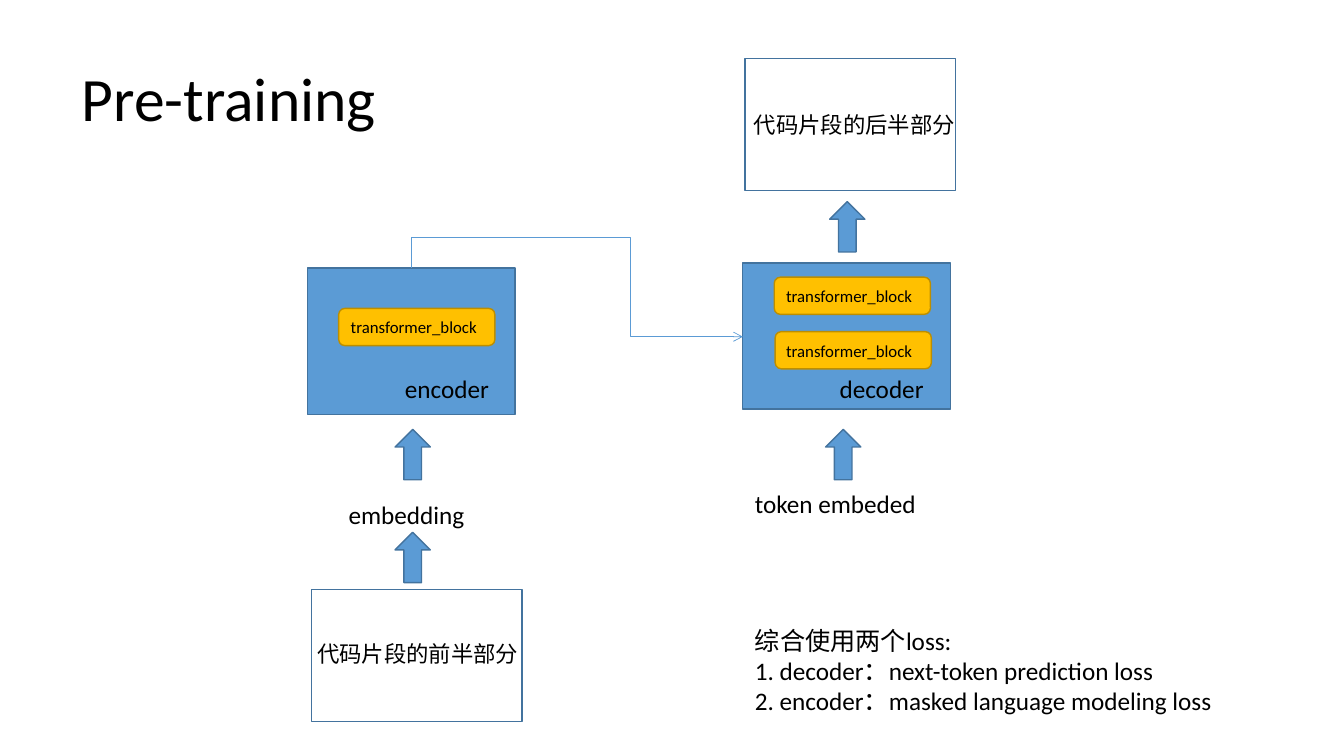
from lxml.etree import SubElement
from pptx import Presentation
from pptx.dml.color import RGBColor
from pptx.enum.shapes import MSO_CONNECTOR as CONN, MSO_SHAPE as SHAPE
from pptx.enum.text import MSO_ANCHOR as ANCHOR, MSO_AUTO_SIZE as AUTO, PP_ALIGN as ALIGN
from pptx.oxml.ns import qn
from pptx.util import Pt

COLORS = {"blue": "5B9BD5", "blue_edge": "43739E", "gold": "FFC000",
          "gold_edge": "BD8E00", "text": "000000"}
FONT = "Calibri"

TITLE = ("Pre-training", 51.1, 20.2, 828, 104.4)

STACKS = [(219.6, 191.5), (530.6, 187.9)]
STACK_SIZE = (148.3, 104.4)
SNIPPETS = [(222.5, 421.2), (532.1, 41.8)]
SNIPPET_SIZE = (150.5, 94.3)
ARROWS = [(282.2, 306.7), (282.2, 380.2), (589.7, 306.7), (592.6, 144)]
ARROW_SIZE = (25.2, 36)
BLOCKS = [(241.9, 220.3), (553.7, 236.9), (553, 198)]
BLOCK_SIZE = (111.6, 26.6)
BLOCK_LABELS = [(243.4, 222.5), (554.4, 239.8), (554.4, 200.2)]

LABELS = [
    (["encoder"], 282.2, 262.8, 80.6, 29, 18),
    (["decoder"], 592.6, 262.8, 80.6, 29, 18),
    (["token embeded"], 532.1, 344.9, 140.4, 29, 18),
    (["embedding"], 241.9, 352.8, 105.1, 29, 18),
    (["代码片段的前半部分"], 219.6, 453.6, 158.4, 26.6, 16),
    (["代码片段的后半部分"], 531.4, 75.6, 158.4, 26.6, 16),
    (["综合使用两个loss:",
      "1. decoder：next-token prediction loss",
      "2. encoder：masked language modeling loss"], 532.1, 442.8, 377.3, 72.7, 18),
] + [(["transformer_block"], x, y, 111.6, 21.6, 12) for x, y in BLOCK_LABELS]

LINK_START, LINK_END = (294.1, 191.5), (530.6, 240.5)
LINK_TOP, LINK_BEND = 169.2, 450


def color(name):
    return RGBColor.from_string(COLORS[name])


def add_run(p, text, size):
    r = p.add_run()
    r.text = text
    r.font.name, r.font.size = FONT, Pt(size)
    r.font.color.rgb = color("text")


def add_box(s, kind, pos, size, fill, edge):
    sp = s.shapes.add_shape(kind, *map(Pt, pos + size))
    sp.shadow.inherit = False
    if fill:
        sp.fill.solid()
        sp.fill.fore_color.rgb = color(fill)
    else:
        sp.fill.background()
    sp.line.color.rgb = color(edge)
    sp.line.width = Pt(1)


def add_label(s, lines, x, y, w, h, size):
    tf = s.shapes.add_textbox(Pt(x), Pt(y), Pt(w), Pt(h)).text_frame
    tf.word_wrap = False
    tf.auto_size = AUTO.SHAPE_TO_FIT_TEXT
    for i, line in enumerate(lines):
        p = tf.add_paragraph() if i else tf.paragraphs[0]
        add_run(p, line, size)


def add_link(s):
    (x1, y1), (x2, y2) = LINK_START, LINK_END
    across, down = x2 - x1, y2 - y1
    cx, cy = (x1 + x2) / 2, (y1 + y2) / 2
    c = s.shapes.add_connector(CONN.ELBOW, Pt(x1), Pt(y1), Pt(x2), Pt(y2))
    c.left, c.top = Pt(cx - down / 2), Pt(cy - across / 2)
    c.width, c.height = Pt(down), Pt(across)
    c.line.color.rgb = color("blue")
    c.line.width = Pt(0.5)
    pr = c._element.spPr
    xfrm = pr.find(qn("a:xfrm"))
    xfrm.set("rot", "16200000")
    xfrm.set("flipH", "1")
    geom = pr.find(qn("a:prstGeom"))
    geom.set("prst", "bentConnector4")
    guides = geom.find(qn("a:avLst"))
    if guides is None:
        guides = SubElement(geom, qn("a:avLst"))
    bends = ((LINK_TOP - y1) / down, (LINK_BEND - x1) / across)
    for i, bend in enumerate(bends, 1):
        SubElement(guides, qn("a:gd"), name=f"adj{i}", fmla=f"val {round(bend * 100000)}")
    SubElement(pr.find(qn("a:ln")), qn("a:tailEnd"), type="arrow")
    SubElement(pr, qn("a:effectLst"))


def add_title(s):
    text, x, y, w, h = TITLE
    sp = s.shapes.title
    sp.left, sp.top, sp.width, sp.height = map(Pt, (x, y, w, h))
    tf = sp.text_frame
    tf.auto_size = AUTO.NONE
    tf.vertical_anchor = ANCHOR.MIDDLE
    p = tf.paragraphs[0]
    p.alignment = ALIGN.LEFT
    p.line_spacing = 0.9
    add_run(p, text, 44)


def main():
    prs = Presentation()
    prs.slide_width, prs.slide_height = Pt(960), Pt(540)
    s = prs.slides.add_slide(prs.slide_layouts[5])
    add_title(s)
    groups = [
        (SHAPE.RECTANGLE, STACKS, STACK_SIZE, "blue", "blue_edge"),
        (SHAPE.RECTANGLE, SNIPPETS, SNIPPET_SIZE, None, "blue_edge"),
        (SHAPE.UP_ARROW, ARROWS, ARROW_SIZE, "blue", "blue_edge"),
        (SHAPE.ROUNDED_RECTANGLE, BLOCKS, BLOCK_SIZE, "gold", "gold_edge"),
    ]
    for kind, places, size, fill, edge in groups:
        for pos in places:
            add_box(s, kind, pos, size, fill, edge)
    add_link(s)
    for label in LABELS:
        add_label(s, *label)
    prs.save("out.pptx")


if __name__ == "__main__":
    main()
